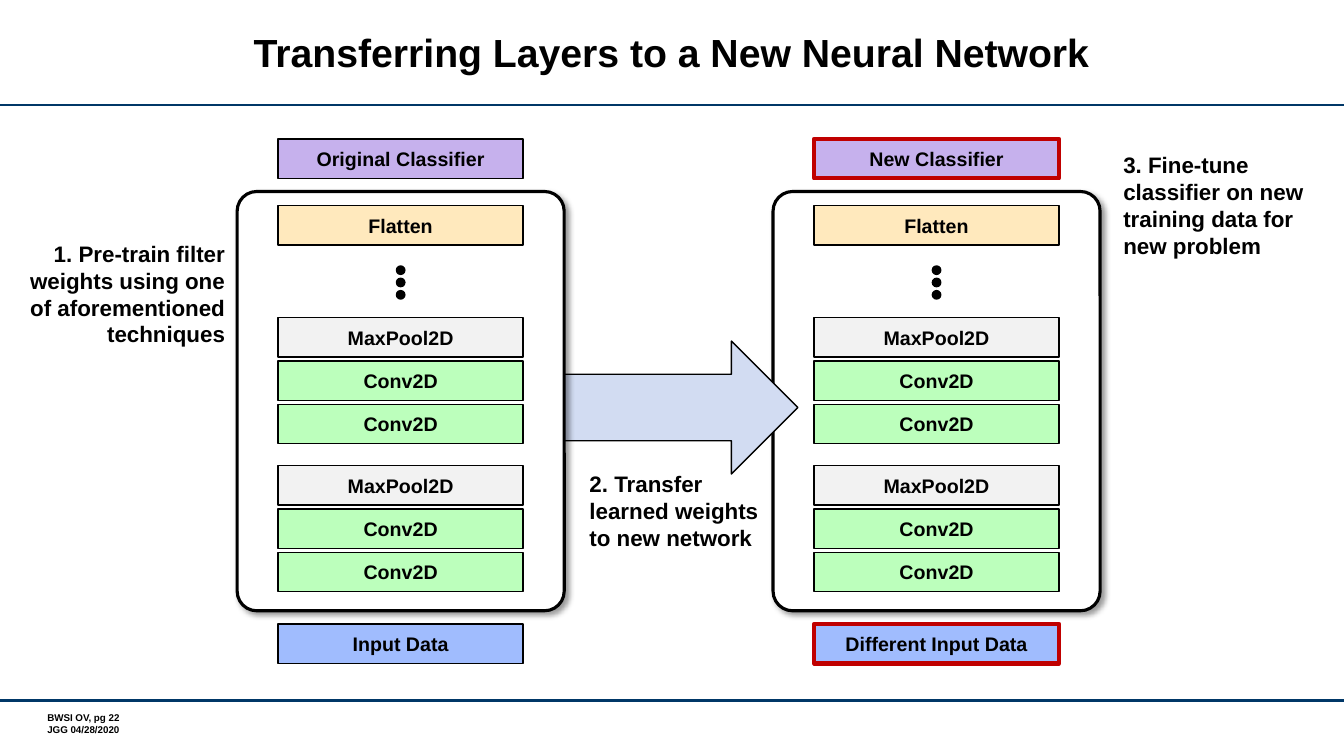
from dataclasses import dataclass

from lxml import etree
from pptx import Presentation
from pptx.dml.color import RGBColor
from pptx.enum.shapes import MSO_CONNECTOR, MSO_SHAPE
from pptx.enum.text import MSO_ANCHOR, PP_ALIGN
from pptx.oxml.ns import qn
from pptx.util import Pt

RECT, ROUNDED = MSO_SHAPE.RECTANGLE, MSO_SHAPE.ROUNDED_RECTANGLE
OVAL, ARROW = MSO_SHAPE.OVAL, MSO_SHAPE.RIGHT_ARROW
STRAIGHT = MSO_CONNECTOR.STRAIGHT
LEFT, CENTER, RIGHT = PP_ALIGN.LEFT, PP_ALIGN.CENTER, PP_ALIGN.RIGHT
TOP, MIDDLE = MSO_ANCHOR.TOP, MSO_ANCHOR.MIDDLE


@dataclass(frozen=True)
class Theme:
    """Colours and type sizes of the slide."""
    font: str = "Arial"
    ink: str = "000000"
    paper: str = "FFFFFF"
    rule: str = "003767"
    conv: str = "BCFFBC"
    pool: str = "F2F2F2"
    flatten: str = "FFE9BD"
    classifier: str = "C6B1ED"
    data: str = "A0BCFE"
    transfer: str = "D2DCF2"
    changed: str = "C00000"
    title_size: float = 28
    note_size: float = 16
    layer_size: float = 14
    footer_size: float = 7


THEME = Theme()
LAYER_WIDTH, LAYER_HEIGHT, LAYER_STEP = 175, 28.2, 31
PANEL_TOP, PANEL_WIDTH, PANEL_HEIGHT = 136.8, 233.6, 299.5
OLD_LEFT, NEW_LEFT = 169.4, 552.2


def write(frame, text, size, align=LEFT, anchor=TOP):
    """Fill a text frame with bold text in the theme font."""
    frame.text = text
    frame.word_wrap = True
    frame.vertical_anchor = anchor
    for paragraph in frame.paragraphs:
        paragraph.alignment = align
        paragraph.font.name = THEME.font
        paragraph.font.size = Pt(size)
        paragraph.font.bold = True
        paragraph.font.color.rgb = RGBColor.from_string(THEME.ink)


def add_figure(shapes, kind, box, fill, line=THEME.ink, weight=1):
    """Add a filled, outlined shape without a shadow."""
    figure = shapes.add_shape(kind, *map(Pt, box))
    figure.shadow.inherit = False
    figure.fill.solid()
    figure.fill.fore_color.rgb = RGBColor.from_string(fill)
    figure.line.color.rgb = RGBColor.from_string(line)
    figure.line.width = Pt(weight)
    return figure


def add_layer(shapes, left, top, label, fill, line=THEME.ink, weight=1):
    """Add one labelled network layer."""
    layer = add_figure(shapes, RECT, (left, top, LAYER_WIDTH, LAYER_HEIGHT), fill, line, weight)
    write(layer.text_frame, label, THEME.layer_size, CENTER, MIDDLE)


def cast_shadow(figure):
    """Give a shape a soft shadow towards the lower right."""
    effects = figure._element.spPr.find(qn("a:effectLst"))
    shadow = etree.SubElement(effects, qn("a:outerShdw"), blurRad=str(Pt(4)), dist=str(Pt(3)),
                              dir="2700000", algn="tl", rotWithShape="0")
    colour = etree.SubElement(shadow, qn("a:srgbClr"), val=THEME.ink)
    etree.SubElement(colour, qn("a:alpha"), val="40000")


def add_network(slide, box, classifier, data, line=THEME.ink, weight=1):
    """Draw a panel of layers with a classifier above and its data below."""
    left, top, width, height = box
    layer_left = left + (width - LAYER_WIDTH) / 2
    network = slide.shapes.add_group_shape().shapes
    panel = add_figure(network, ROUNDED, box, THEME.paper, weight=2.25)
    panel.adjustments[0] = 0.06
    cast_shadow(panel)
    add_layer(network, layer_left, top + 10, "Flatten", THEME.flatten)
    for dot in range(3):
        add_figure(network, OVAL, (left + width / 2 - 3, top + 53.2 + dot * 8.8, 6, 6), THEME.ink)
    block = (("MaxPool2D", THEME.pool), ("Conv2D", THEME.conv), ("Conv2D", THEME.conv))
    for block_top in (top + 90, top + 195.7):
        for row, (label, fill) in enumerate(block):
            add_layer(network, layer_left, block_top + row * LAYER_STEP, label, fill)
    add_layer(slide.shapes, layer_left, top - 37.6, classifier, THEME.classifier, line, weight)
    add_layer(slide.shapes, layer_left, top + height + 9.4, data, THEME.data, line, weight)


def add_note(slide, box, text, align=LEFT):
    """Add the caption of one step."""
    note = slide.shapes.add_textbox(*map(Pt, box))
    write(note.text_frame, text, THEME.note_size, align)


def add_rule(slide, width, top):
    """Draw a horizontal rule across the slide."""
    rule = slide.shapes.add_connector(STRAIGHT, 0, Pt(top), Pt(width), Pt(top))
    rule.line.color.rgb = RGBColor.from_string(THEME.rule)
    rule.line.width = Pt(1.75)
    etree.SubElement(rule._element.spPr, qn("a:effectLst"))


def add_title(slide, box, text):
    """Add the slide title."""
    title = slide.shapes.add_textbox(*map(Pt, box)).text_frame
    write(title, text, THEME.title_size, CENTER, MIDDLE)
    title.paragraphs[0].line_spacing = Pt(THEME.title_size)


def add_footer(slide, box, text):
    """Add the page and date lines."""
    footer = slide.shapes.add_textbox(*map(Pt, box)).text_frame
    footer.margin_left = footer.margin_right = footer.margin_top = footer.margin_bottom = 0
    write(footer, text, THEME.footer_size)


def main():
    """Build and save the slide."""
    deck = Presentation()
    deck.slide_width, deck.slide_height = Pt(960), Pt(540)
    slide = deck.slides.add_slide(deck.slide_layouts[6])
    add_rule(slide, 960, 74.9)
    add_rule(slide, 960, 500.4)
    add_footer(slide, (33.8, 508.3, 114.5, 17.3), "BWSI OV, pg 22\nJGG 04/28/2020")
    add_title(slide, (98.6, 7.9, 761.8, 64), "Transferring Layers to a New Neural Network")
    add_network(slide, (NEW_LEFT, PANEL_TOP, PANEL_WIDTH, PANEL_HEIGHT),
                "New Classifier", "Different Input Data", THEME.changed, 3)
    add_figure(slide.shapes, ARROW, (396, 243.6, 174, 95), THEME.transfer)
    add_network(slide, (OLD_LEFT, PANEL_TOP, PANEL_WIDTH, PANEL_HEIGHT),
                "Original Classifier", "Input Data")
    add_note(slide, (5.8, 167.8, 162, 85),
             "1. Pre-train filter weights using one of aforementioned techniques", RIGHT)
    add_note(slide, (414, 332.6, 139, 65.5), "2. Transfer learned weights to new network")
    add_note(slide, (795.3, 104.4, 150.5, 85),
             "3. Fine-tune classifier on new training data for new problem")
    deck.save("out.pptx")


if __name__ == "__main__":
    main()
